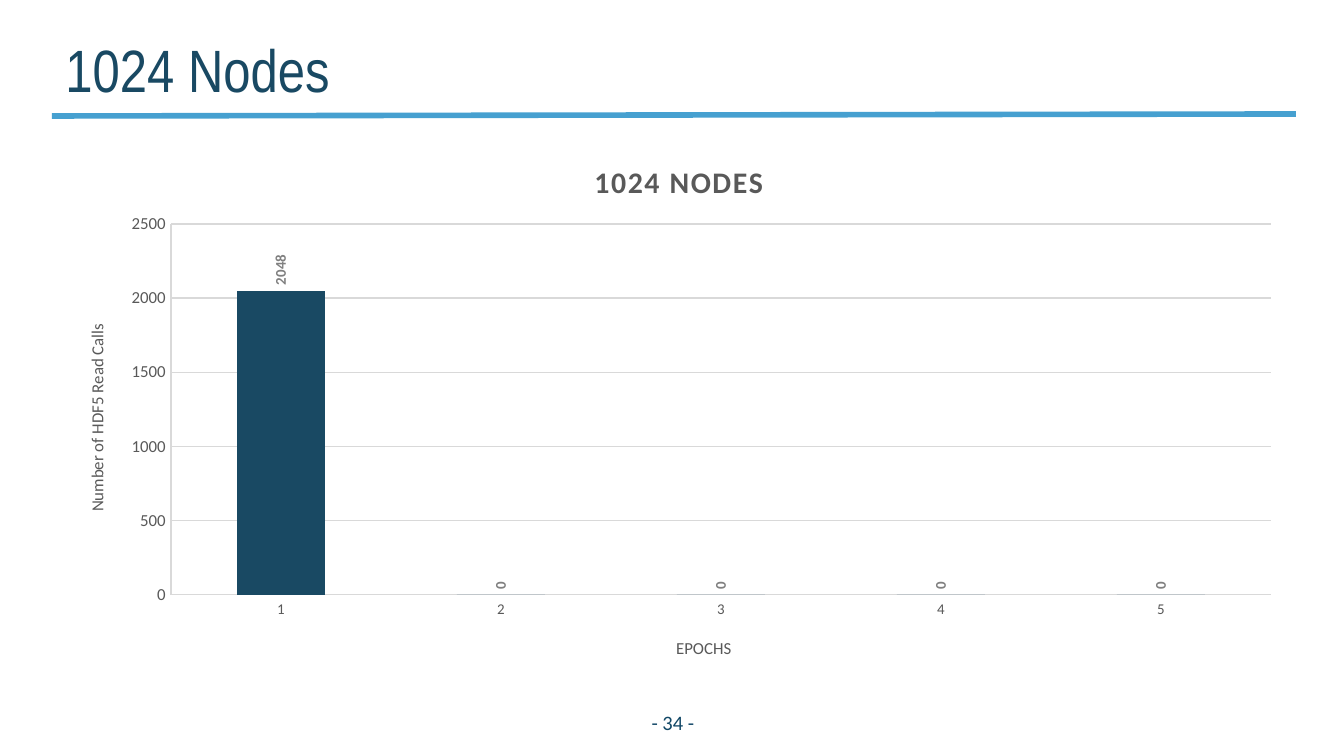
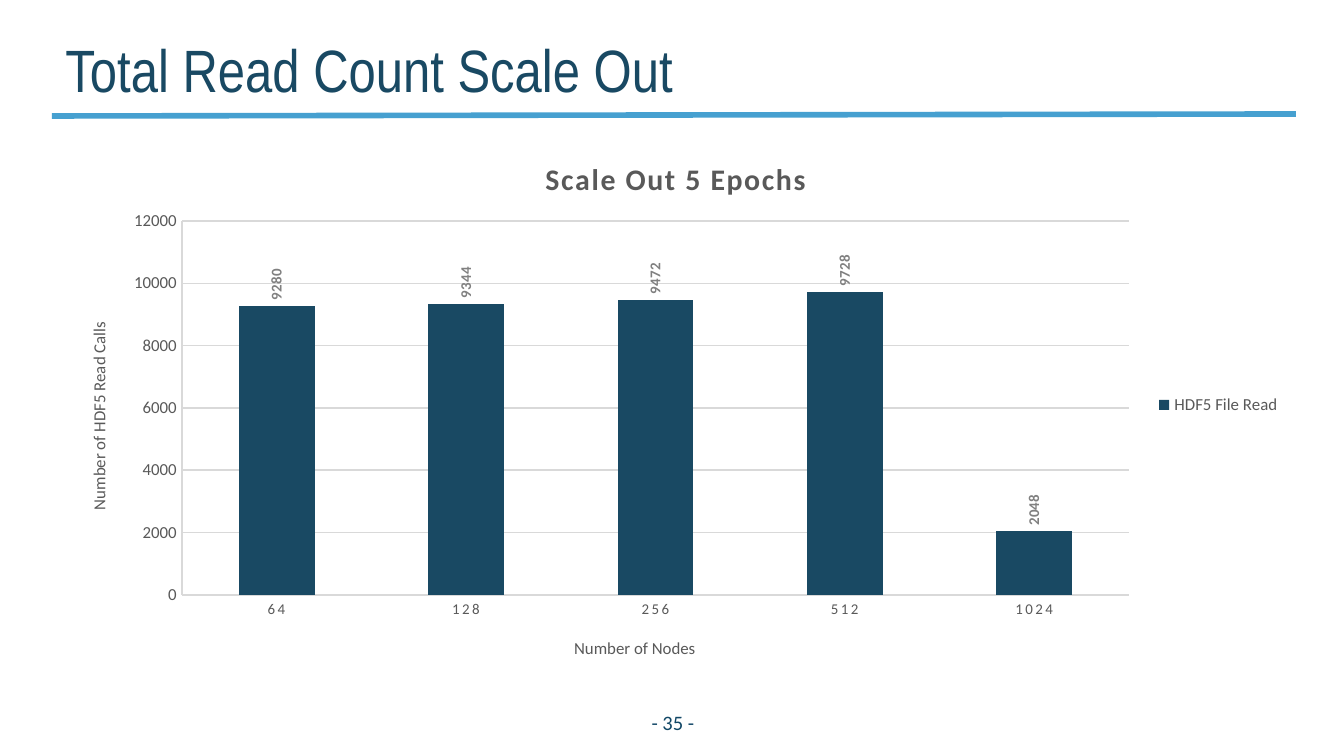
from lxml.etree import SubElement
from pptx import Presentation
from pptx.chart.data import CategoryChartData
from pptx.dml.color import RGBColor
from pptx.enum.chart import (XL_CHART_TYPE, XL_LABEL_POSITION,
                             XL_LEGEND_POSITION, XL_TICK_MARK)
from pptx.enum.shapes import MSO_CONNECTOR
from pptx.enum.text import MSO_ANCHOR, MSO_AUTO_SIZE, PP_ALIGN
from pptx.oxml.ns import qn
from pptx.util import Emu, Pt

COLORS = {
    "navy": "194963",
    "rule": "46A0D0",
    "page": "114766",
    "grid": "D9D9D9",
    "text": "595959",
    "value": "808080",
}
SLIDE_W, SLIDE_H = 1344, 756
QUARTER_TURN = "-5400000"
TITLE_FONT, BODY_FONT = "Arial Narrow", "Calibri"


def px(length):
    return Emu(round(length * 9144000 / SLIDE_W))


def rgb(name):
    return RGBColor.from_string(COLORS[name])


def style_font(font, size, color, bold=False, name=BODY_FONT):
    font.name, font.size, font.bold = name, Pt(size), bold
    font.color.rgb = rgb(color)


def style_line(line, color, width):
    line.color.rgb = rgb(color)
    line.width = Pt(width)


def add_title(slide, text):
    title = slide.shapes.title
    title.left, title.top, title.width, title.height = map(px, (52, 20, 1003, 85))
    frame = title.text_frame
    frame.text = text
    frame.auto_size = MSO_AUTO_SIZE.NONE
    frame.vertical_anchor = MSO_ANCHOR.BOTTOM
    frame.margin_top = frame.margin_bottom = 0
    heading = frame.paragraphs[0]
    heading.alignment = PP_ALIGN.LEFT
    style_font(heading.font, 32, "navy", name=TITLE_FONT)


def add_title_rule(slide):
    rule = slide.shapes.add_connector(
        MSO_CONNECTOR.STRAIGHT, px(52), px(116), px(1296), px(114))
    style_line(rule.line, "rule", 3)
    SubElement(rule._element.spPr, qn("a:effectLst"))


def add_page_number(slide, number):
    box = slide.shapes.add_textbox(px(605), px(702), px(136), px(40))
    frame = box.text_frame
    frame.word_wrap = True
    frame.vertical_anchor = MSO_ANCHOR.MIDDLE
    label = frame.paragraphs[0]
    label.text = f"- {number} -"
    label.alignment = PP_ALIGN.CENTER
    style_font(label.font, 11, "page")


def set_layout(parent, index, frame, left, top, size=None):
    """Place a chart part, given in slide px, within the chart frame."""
    for old in parent.findall(qn("c:layout")):
        parent.remove(old)
    layout = SubElement(parent, qn("c:layout"))
    parent.insert(index, layout)
    manual = SubElement(layout, qn("c:manualLayout"))
    frame_x, frame_y, frame_w, frame_h = frame
    settings = {"xMode": "edge", "yMode": "edge",
                "x": (left - frame_x) / frame_w, "y": (top - frame_y) / frame_h}
    if size:
        settings = {"layoutTarget": "inner", **settings,
                    "w": size[0] / frame_w, "h": size[1] / frame_h}
    for tag, value in settings.items():
        text = value if isinstance(value, str) else f"{value:.4f}"
        SubElement(manual, qn(f"c:{tag}")).set("val", text)


def set_heading(owner, text, size, frame, spot, bold=False):
    """Give a chart or an axis its title and return the text frame."""
    heading = owner.chart_title if hasattr(owner, "chart_title") else owner.axis_title
    heading.text_frame.text = text
    style_font(heading.text_frame.paragraphs[0].font, size, "text", bold)
    set_layout(heading._element, 1, frame, *spot)
    return heading.text_frame


def style_axis(axis, label_size):
    axis.major_tick_mark = axis.minor_tick_mark = XL_TICK_MARK.NONE
    style_line(axis.format.line, "grid", 0.75)
    style_font(axis.tick_labels.font, label_size, "text")


def style_values(series):
    labels = series.data_labels
    labels.show_value = True
    labels.position = XL_LABEL_POSITION.OUTSIDE_END
    style_font(labels.font, 8, "value", bold=True)
    body = labels._element.find(f"{qn('c:txPr')}/{qn('a:bodyPr')}")
    body.set("rot", QUARTER_TURN)
    body.set("vert", "horz")


def add_read_chart(slide, frame, plot_box, heading, heading_spot, axis_name,
                   axis_spot, calls_spot, series_name, reads, top, step,
                   legend=False):
    data = CategoryChartData()
    data.categories = list(reads)
    data.add_series(series_name, list(reads.values()))
    chart = slide.shapes.add_chart(
        XL_CHART_TYPE.COLUMN_CLUSTERED, *map(px, frame), data).chart
    chart.font.name, chart.font.size = BODY_FONT, Pt(10)
    title = set_heading(chart, heading, 16, frame, heading_spot, bold=True)
    title.paragraphs[0]._p.pPr.find(qn("a:defRPr")).set("spc", "100")
    title.paragraphs[0].runs[0]._r.get_or_add_rPr().set("spc", "100")

    columns = chart.plots[0]
    columns.gap_width = 150
    columns.vary_by_categories = False
    series = columns.series[0]
    series.format.fill.solid()
    series.format.fill.fore_color.rgb = rgb("navy")
    style_values(series)

    categories, calls = chart.category_axis, chart.value_axis
    style_axis(categories, 8)
    style_axis(calls, 9)
    set_heading(categories, axis_name, 9, frame, axis_spot)
    calls_title = set_heading(
        calls, "Number of HDF5 Read Calls", 9, frame, calls_spot)
    calls_title._txBody.bodyPr.set("rot", QUARTER_TURN)
    calls.minimum_scale, calls.maximum_scale, calls.major_unit = 0, top, step
    style_line(calls.major_gridlines.format.line, "grid", 0.75)

    left, plot_top, *size = plot_box
    plot_area = chart._chartSpace.chart.plotArea
    set_layout(plot_area, 0, frame, left, plot_top, size)
    chart.has_legend = legend
    if legend:
        chart.legend.position = XL_LEGEND_POSITION.RIGHT
        chart.legend.include_in_layout = False
        style_font(chart.legend.font, 9, "text")
        labels = categories.tick_labels.font
        labels._element.set("spc", "120")


def add_titled_slide(deck, title, number):
    slide = deck.slides.add_slide(deck.slide_layouts[5])
    add_title_rule(slide)
    add_title(slide, title)
    add_page_number(slide, number)
    return slide


def main():
    deck = Presentation()
    deck.slide_width, deck.slide_height = px(SLIDE_W), px(SLIDE_H)

    nodes = add_titled_slide(deck, "1024 Nodes", 34)
    add_read_chart(
        nodes, frame=(52, 130, 1243, 551), plot_box=(171, 224, 1100, 371),
        heading="1024 NODES", heading_spot=(589, 157),
        axis_name="EPOCHS", axis_spot=(673, 634), calls_spot=(83, 321),
        series_name="Series 1", reads={"1": 2048, "2": 0, "3": 0, "4": 0, "5": 0},
        top=2500, step=500)

    scale_out = add_titled_slide(deck, "Total Read Count Scale Out", 35)
    add_read_chart(
        scale_out, frame=(52, 128, 1242, 554), plot_box=(182, 221, 947, 374),
        heading="Scale Out 5 Epochs", heading_spot=(540, 154),
        axis_name="Number of Nodes", axis_spot=(571, 634), calls_spot=(85, 319),
        series_name="HDF5 File Read",
        reads={"64": 9280, "128": 9344, "256": 9472, "512": 9728, "1024": 2048},
        top=12000, step=2000, legend=True)

    deck.save("out.pptx")


if __name__ == "__main__":
    main()
